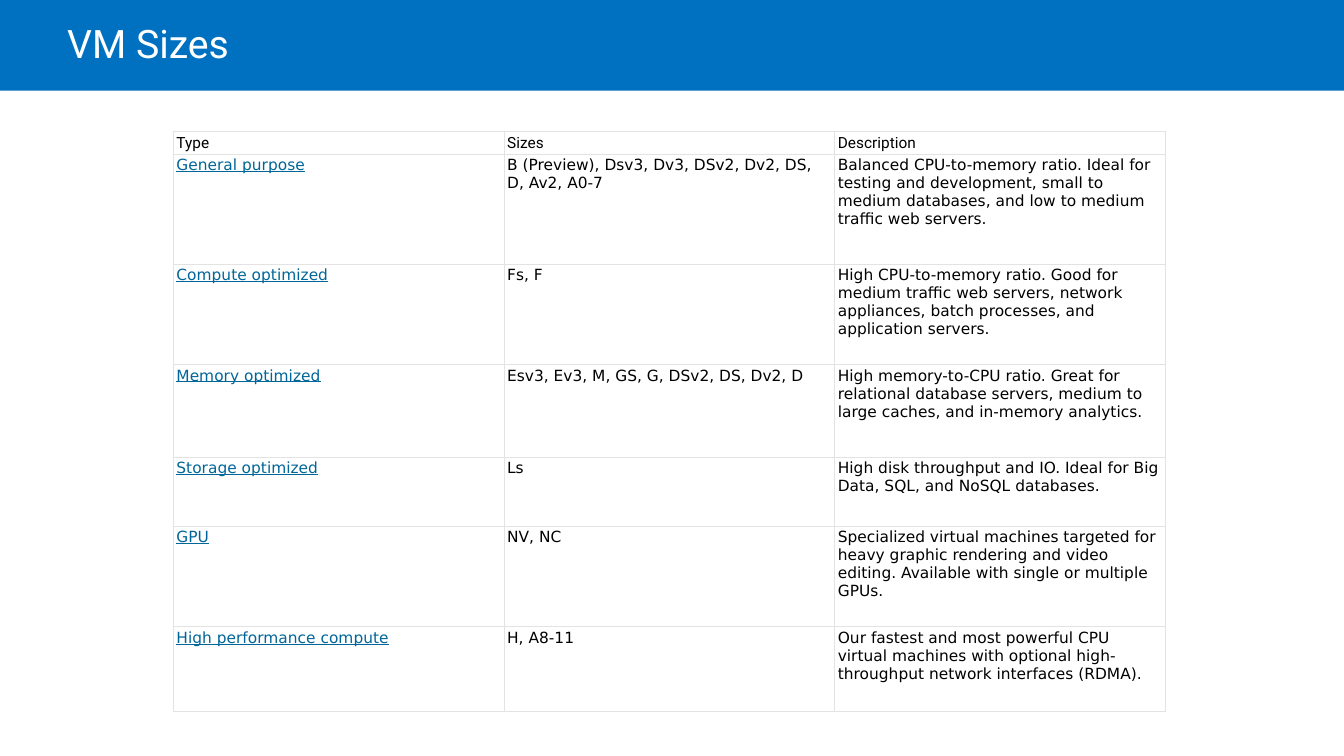
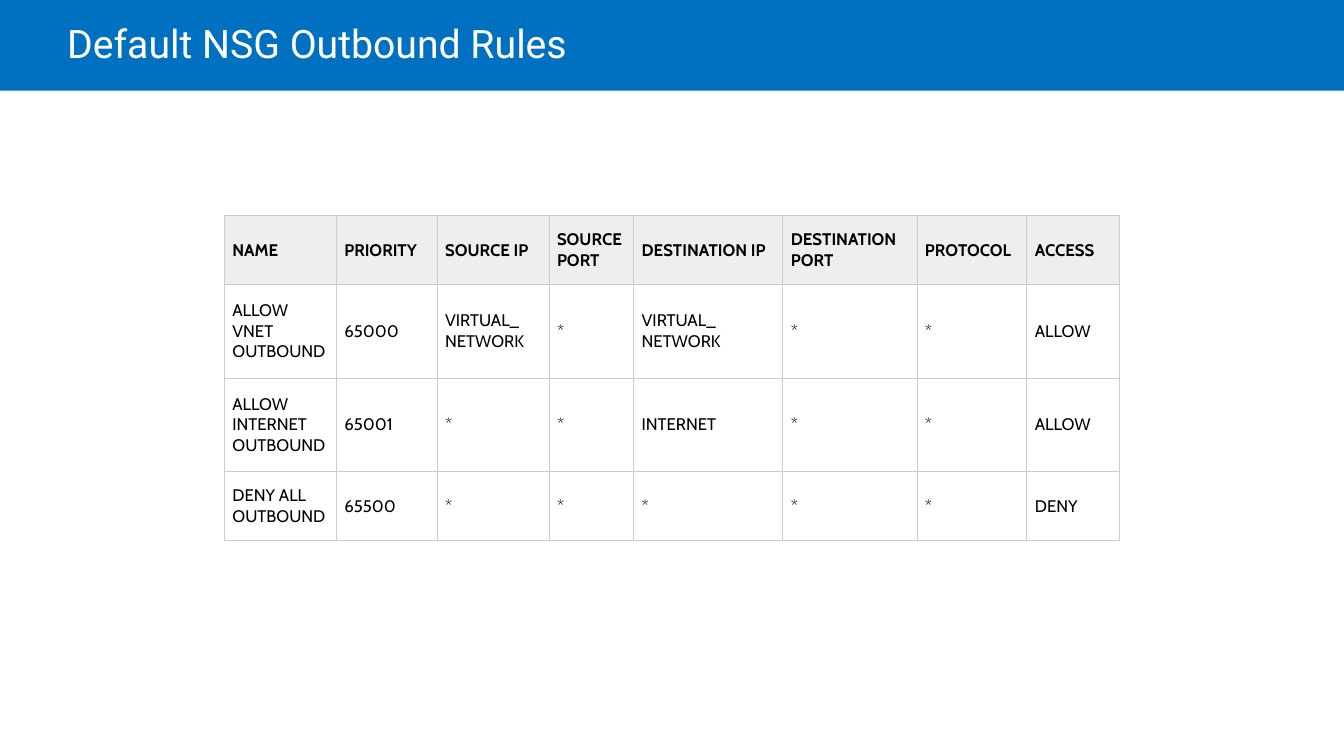
import pptx
import pptx.util
import pptx.dml.color
import pptx.enum.shapes
import pptx.enum.text
import pptx.oxml
import pptx.oxml.ns

Inches, Pt = pptx.util.Inches, pptx.util.Pt
RGB = pptx.dml.color.RGBColor
Anchor = pptx.enum.text.MSO_ANCHOR

# Colours
BLUE = RGB(0x00, 0x70, 0xC0)
WHITE = RGB(0xFF, 0xFF, 0xFF)
BLACK = RGB(0x00, 0x00, 0x00)
LINK = RGB(0x00, 0x66, 0x99)
PALE = RGB(0xEE, 0xEE, 0xEE)
MIST = RGB(0xE3, 0xE3, 0xE3)
GREY = RGB(0xCC, 0xCC, 0xCC)

# Slide frame
WIDTH, HEIGHT = 13.33, 7.5
BAND = 0.12 * HEIGHT
EDGE = 0.05 * WIDTH

# Text formats
TITLE = {"name": "Roboto", "size": Pt(28), "color": WHITE}
HEAD = {"name": "Roboto", "size": Pt(11), "color": BLACK}
BODY = HEAD | {"name": "DejaVu Sans"}
LINKED = BODY | {"color": LINK, "underline": True}
RULE = {"name": "Cabin", "size": Pt(12), "color": BLACK, "bold": False}
RULE_HEAD = RULE | {"bold": True}

SIZES = [
    ("Type", "Sizes", "Description"),
    ("General purpose", "B (Preview), Dsv3, Dv3, DSv2, Dv2, DS, D, Av2, A0-7",
     "Balanced CPU-to-memory ratio. Ideal for testing and development, small to "
     "medium databases, and low to medium traffic web servers."),
    ("Compute optimized", "Fs, F",
     "High CPU-to-memory ratio. Good for medium traffic web servers, network "
     "appliances, batch processes, and application servers."),
    ("Memory optimized", "Esv3, Ev3, M, GS, G, DSv2, DS, Dv2, D",
     "High memory-to-CPU ratio. Great for relational database servers, medium to "
     "large caches, and in-memory analytics."),
    ("Storage optimized", "Ls",
     "High disk throughput and IO. Ideal for Big Data, SQL, and NoSQL databases."),
    ("GPU", "NV, NC",
     "Specialized virtual machines targeted for heavy graphic rendering and video "
     "editing. Available with single or multiple GPUs."),
    ("High performance compute", "H, A8-11",
     "Our fastest and most powerful CPU virtual machines with optional "
     "high-throughput network interfaces (RDMA)."),
]

VNET = "VIRTUAL_\nNETWORK"
RULES = [
    ("NAME", "PRIORITY", "SOURCE IP", "SOURCE PORT", "DESTINATION IP",
     "DESTINATION PORT", "PROTOCOL", "ACCESS"),
    ("ALLOW VNET OUTBOUND", "65000", VNET, "*", VNET, "*", "*", "ALLOW"),
    ("ALLOW INTERNET OUTBOUND", "65001", "*", "*", "INTERNET", "*", "*", "ALLOW"),
    ("DENY ALL OUTBOUND", "65500", "*", "*", "*", "*", "*", "DENY"),
]


def apply(thing, values):
    """Set each attribute of thing from a dict."""
    for key, value in values.items():
        setattr(thing, key, value)


def write(frame, text, style):
    """Put text in a frame and format every run."""
    frame.text = text
    for line in frame.paragraphs:
        for run in line.runs:
            apply(run.font, {k: v for k, v in style.items() if k != "color"})
            run.font.color.rgb = style["color"]


def place(shape, left, top, width, height):
    apply(shape, {"left": Inches(left), "top": Inches(top),
                  "width": Inches(width), "height": Inches(height)})


def add_page(deck, text):
    """Add a slide with the blue band and its title."""
    page = deck.slides.add_slide(deck.slide_layouts[5])
    title = page.shapes.title
    band = page.shapes.add_shape(pptx.enum.shapes.MSO_SHAPE.RECTANGLE, 0, 0,
                                 Inches(WIDTH), Inches(BAND))
    band.shadow.inherit = False
    band.fill.solid()
    band.fill.fore_color.rgb = BLUE
    band.line.fill.background()
    title._element.addprevious(band._element)  # band behind title

    place(title, EDGE, 0, WIDTH - 2 * EDGE, BAND)
    frame = title.text_frame
    write(frame, text, TITLE)
    apply(frame, {"margin_left": 0, "margin_right": Inches(0.1),
                  "margin_top": Inches(0.05), "margin_bottom": Inches(0.05),
                  "vertical_anchor": Anchor.MIDDLE, "word_wrap": True})
    apply(frame.paragraphs[0], {"alignment": pptx.enum.text.PP_ALIGN.LEFT,
                                "line_spacing": 0.9})
    return page


def add_edges(cell, color, across, down):
    """Draw the cell's borders: across for top and bottom, down for the sides."""
    props = cell._tc.get_or_add_tcPr()
    space = pptx.oxml.ns.nsdecls("a")
    for side, width in zip("LRTB", (down, down, across, across)):
        props.append(pptx.oxml.parse_xml(
            f'<a:ln{side} {space} w="{Pt(width)}"><a:solidFill>'
            f'<a:srgbClr val="{color}"/></a:solidFill></a:ln{side}>'))


def add_grid(page, left, top, cols, rows, data, look):
    """Add a table; look(row, col) gives each cell's text style, fill, format, edges."""
    table = page.shapes.add_table(len(rows), len(cols), Inches(left), Inches(top),
                                  Inches(sum(cols)), Inches(sum(rows))).table
    apply(table, {"first_row": False, "horz_banding": False})
    for col, width in zip(table.columns, cols):
        col.width = Inches(width)
    for row, height in zip(table.rows, rows):
        row.height = Inches(height)
    for r, line in enumerate(data):
        for c, text in enumerate(line):
            cell = table.cell(r, c)
            style, fill, form, edges = look(r, c)
            write(cell.text_frame, text, style)
            apply(cell, form)
            add_edges(cell, *edges)
            cell.fill.solid()
            cell.fill.fore_color.rgb = fill


def inset(side, end, anchor):
    """Cell margins and anchor as a dict."""
    return {"margin_left": Inches(side), "margin_right": Inches(side),
            "margin_top": Inches(end), "margin_bottom": Inches(end),
            "vertical_anchor": anchor}


def size_look(row, col):
    style = HEAD if row == 0 else LINKED if col == 0 else BODY
    anchor = Anchor.TOP if row else Anchor.BOTTOM
    return style, WHITE, inset(0.03, 0.02, anchor), (MIST, 0.75, 1)


def rule_look(row, col):
    style, fill = (RULE, WHITE) if row else (RULE_HEAD, PALE)
    return style, fill, inset(0.08, 0.08, Anchor.MIDDLE), (GREY, 0.6, 0.6)


def main():
    deck = pptx.Presentation()
    apply(deck, {"slide_width": Inches(WIDTH), "slide_height": Inches(HEIGHT)})

    # Machine sizes
    page = add_page(deck, "VM Sizes")
    add_grid(page, 1.72, 1.3, [3.28] * 3, [0.23, 1.09, 1, 0.92, 0.68, 1, 0.84],
             SIZES, size_look)

    # Outbound rules, centred across the slide
    page = add_page(deck, "Default NSG Outbound Rules")
    cols = [1.11, 1, 1.11, 0.84, 1.48, 1.33, 1.09, 0.92]
    add_grid(page, (WIDTH - sum(cols)) / 2, 2.14, cols, [0.68, 0.93, 0.93, 0.68],
             RULES, rule_look)

    deck.save("out.pptx")


if __name__ == "__main__":
    main()
